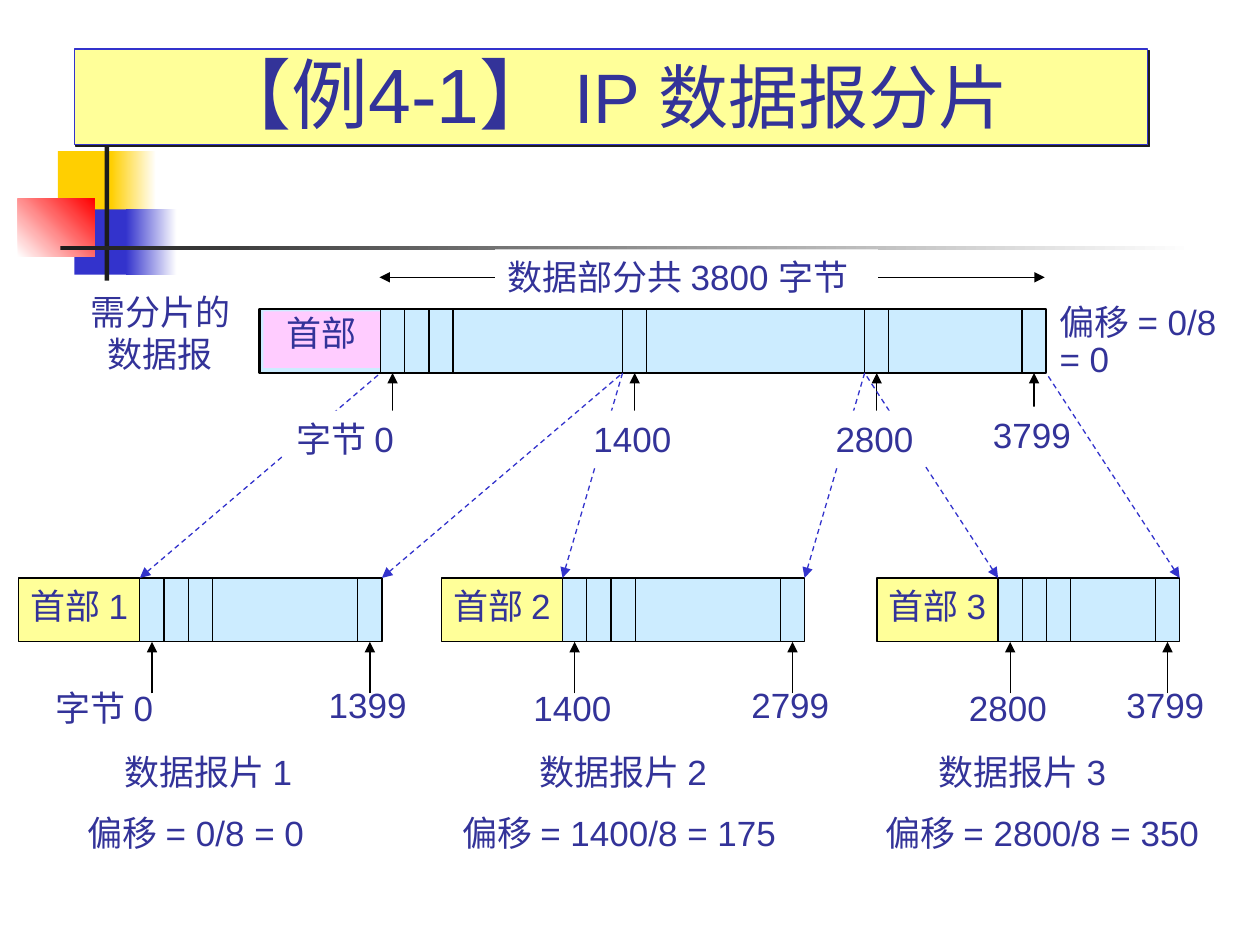
from lxml.etree import SubElement
from pptx import Presentation
from pptx.dml.color import RGBColor
from pptx.enum.dml import MSO_LINE
from pptx.enum.shapes import MSO_CONNECTOR, MSO_SHAPE
from pptx.enum.text import MSO_ANCHOR as Anchor, MSO_AUTO_SIZE as AutoSize, PP_ALIGN as Align
from pptx.oxml.ns import qn
from pptx.util import Cm, Pt

# Content
TITLE = [("【例4-1】 ", 44), ("IP 数据报分片", 40)]
SOURCE_NAME = ["需分片的", "数据报"]
SOURCE_OFFSET = ["偏移 = 0/8", "= 0"]
SOURCE_BYTES = [(0, "字节 0"), (10, "1400"), (20, "2800"), (26.5, "3799")]  # cell, label
TOTAL = "数据部分共 3800 字节"
FRAGMENTS = [
    dict(left=0.38, cells=10, header="首部 1", first="字节 0", last="1399",
         name=("数据报片 1", 2.26), offset=("偏移 = 0/8 = 0", 1.52, 5.25)),
    dict(left=8.9, cells=10, header="首部 2", first="1400", last="2799",
         name=("数据报片 2", 10.62), offset=("偏移 = 1400/8 = 175", 9.07, 7.2)),
    dict(left=17.68, cells=7.5, header="首部 3", first="2800", last="3799",
         name=("数据报片 3", 18.67), offset=("偏移 = 2800/8 = 350", 17.6, 7.2)),
]
# left, top, width, height, colours, gradient angle
ORNAMENTS = [
    (1.17, 3.05, 1.22, 1.32, ["FFCF01"], 0),
    (2.24, 3.05, 0.91, 1.32, ["FFCF01", "FFFFFF"], 0),
    (1.5, 4.22, 1.17, 1.32, ["3333CC"], 0),
    (2.54, 4.22, 1.02, 1.32, ["3333CC", "FFFFFF"], 0),
    (0.36, 4.01, 1.55, 1.17, ["FFFFFF", "FF0000"], 45),
    (2.11, 2.74, 0.09, 2.92, ["1C1C1C"], 0),
    (1.22, 4.95, 22.86, 0.09, ["1C1C1C", "FFFFFF"], 0),
]

# Layout in centimetres
INK, BLACK, BLUE, SKY = "333399", "000000", "3333CC", "CCECFF"
YELLOW, PINK, WHITE = "FFFF99", "FFCCFF", "FFFFFF"
HEADER_W = 2.44
CELL = HEADER_W / 5
BAR_H = 1.29
SOURCE_LEFT, SOURCE_TOP, FRAGMENT_TOP = 5.23, 6.23, 11.65
SOURCE_DATA = SOURCE_LEFT + HEADER_W
CUTS = [0, 10, 20, 27.5]
TICK = 1.04
LABEL_H = 1.12

prs = Presentation()
prs.slide_width, prs.slide_height = Cm(25.4), Cm(19.05)
shapes = prs.slides.add_slide(prs.slide_layouts[6]).shapes


def rgb(hex_color):
    return RGBColor.from_string(hex_color)


def rect(left, top, width, height, colors, line=None, line_pt=0.75, angle=0):
    shape = shapes.add_shape(MSO_SHAPE.RECTANGLE, Cm(left), Cm(top), Cm(width), Cm(height))
    shape.shadow.inherit = False
    if len(colors) == 1:
        shape.fill.solid()
        shape.fill.fore_color.rgb = rgb(colors[0])
    else:
        shape.fill.gradient()
        shape.fill.gradient_angle = angle
        for stop, color in zip(shape.fill.gradient_stops, colors):
            stop.color.rgb = rgb(color)
    if line:
        shape.line.color.rgb = rgb(line)
        shape.line.width = Pt(line_pt)
    else:
        shape.line.fill.background()
    return shape


def write(shape, lines, align=Align.LEFT, inset=0.13, last_spacing=None):
    frame = shape.text_frame
    frame.word_wrap = False
    frame.vertical_anchor = Anchor.TOP
    frame.margin_top = Cm(inset)
    frame.text = "\n".join(lines)
    for para in frame.paragraphs:
        para.alignment = align
        para.font.size, para.font.name = Pt(20), "Arial"
        para.font.color.rgb = rgb(INK)
    if last_spacing:
        para.line_spacing = last_spacing


def label(left, top, width, lines, height=LABEL_H, fill=None, **style):
    if fill:
        box = rect(left, top, width, height, [fill])
    else:
        box = shapes.add_textbox(Cm(left), Cm(top), Cm(width), Cm(height))
    write(box, lines, **style)
    box.text_frame.auto_size = AutoSize.SHAPE_TO_FIT_TEXT


def line(x1, y1, x2, y2, color=BLACK, ends=(), dashed=False):
    link = shapes.add_connector(MSO_CONNECTOR.STRAIGHT, Cm(x1), Cm(y1), Cm(x2), Cm(y2))
    link.line.color.rgb = rgb(color)
    link.line.width = Pt(0.75)
    if dashed:
        link.line.dash_style = MSO_LINE.DASH
    for end in ends:
        SubElement(link.line._get_or_add_ln(), qn(f"a:{end}"), type="triangle")
    SubElement(link._element.spPr, qn("a:effectLst"))


def dividers(data_left, top, cells):
    for cell in cells:
        x = data_left + cell * CELL
        line(x, top, x, top + BAR_H)


def cell_middle(data_left, cell):
    return data_left + (cell + 0.5) * CELL


def tick(x, bar_top):
    line(x, bar_top + BAR_H + TICK, x, bar_top + BAR_H, ends=["tailEnd"])


def byte_label(x, top, text, fill=None):
    """Number centred under its tick; the 字节 prefix hangs out to the left."""
    width, shift = (2.7, 0.84) if text.startswith("字节") else (2.08, 0.04)
    label(x - shift - width / 2, top, width, [text], fill=fill)


# Ornaments
for *place, colors, angle in ORNAMENTS:
    rect(*place, colors, angle=angle)

# Datagram to be split
rect(SOURCE_LEFT, SOURCE_TOP, HEADER_W + CUTS[-1] * CELL, BAR_H, [SKY], BLACK, 1.5)
source_header = rect(SOURCE_LEFT + 0.08, SOURCE_TOP + 0.05, HEADER_W - 0.08, 1.14, [PINK])
write(source_header, ["首部"], Align.CENTER, inset=0)
dividers(SOURCE_DATA, SOURCE_TOP, [0, 1, 2, 3, 10, 11, 20, 21, 26.5])
label(1.57, 5.72, 3.33, SOURCE_NAME, height=1.96, align=Align.CENTER)
label(21.11, 5.92, 3.84, SOURCE_OFFSET, height=1.88, last_spacing=0.9)
line(7.65, 5.59, 21.06, 5.59, ends=["headEnd", "tailEnd"])
label(9.98, 5.03, 7.72, [TOTAL], fill=WHITE)

# Fragments
for fragment in FRAGMENTS:
    left, cells = fragment["left"], fragment["cells"]
    data = left + HEADER_W
    rect(data, FRAGMENT_TOP, cells * CELL, BAR_H, [SKY], BLACK)
    header = rect(left, FRAGMENT_TOP, HEADER_W, BAR_H, [YELLOW], BLACK)
    write(header, [fragment["header"]], Align.CENTER)
    dividers(data, FRAGMENT_TOP, [1, 2, 3, cells - 1])
    for cell, key, top in [(0, "first", 13.7), (cells - 1, "last", 13.64)]:
        x = cell_middle(data, cell)
        tick(x, FRAGMENT_TOP)
        byte_label(x, top, fragment[key])
    name, name_left = fragment["name"]
    label(name_left, 14.99, 4.25, [name])
    offset, offset_left, offset_width = fragment["offset"]
    label(offset_left, 16.23, offset_width, [offset])

# Byte positions of the datagram; the dashed links run over the last label
*inner_bytes, (last_cell, last_byte) = SOURCE_BYTES
for cell, _ in SOURCE_BYTES:
    tick(cell_middle(SOURCE_DATA, cell), SOURCE_TOP)
byte_label(cell_middle(SOURCE_DATA, last_cell), 8.2, last_byte, WHITE)

for fragment, start, stop in zip(FRAGMENTS, CUTS, CUTS[1:]):
    data = fragment["left"] + HEADER_W
    for cell, cut in [(0, start), (fragment["cells"], stop)]:
        line(data + cell * CELL, FRAGMENT_TOP, SOURCE_DATA + cut * CELL, SOURCE_TOP + BAR_H,
             BLUE, ["headEnd"], dashed=True)

for cell, text in inner_bytes:
    byte_label(cell_middle(SOURCE_DATA, cell), 8.28, text, WHITE)

# Title with a hard shadow
banner = rect(1.5, 0.99, 21.64, 1.93, [YELLOW], BLUE)
shadow = SubElement(banner._element.spPr.find(qn("a:effectLst")), qn("a:outerShdw"),
                    dist=str(Pt(1.4)), dir="2700000", algn="ctr", rotWithShape="0")
SubElement(shadow, qn("a:srgbClr"), val="1C1C1C")
banner.text_frame.word_wrap = True
banner.text_frame.vertical_anchor = Anchor.BOTTOM
heading = banner.text_frame.paragraphs[0]
heading.alignment = Align.CENTER
heading.font.name = "Arial"
heading.font.color.rgb = rgb(INK)
for text, size in TITLE:
    run = heading.add_run()
    run.text, run.font.size = text, Pt(size)

prs.save("out.pptx")
